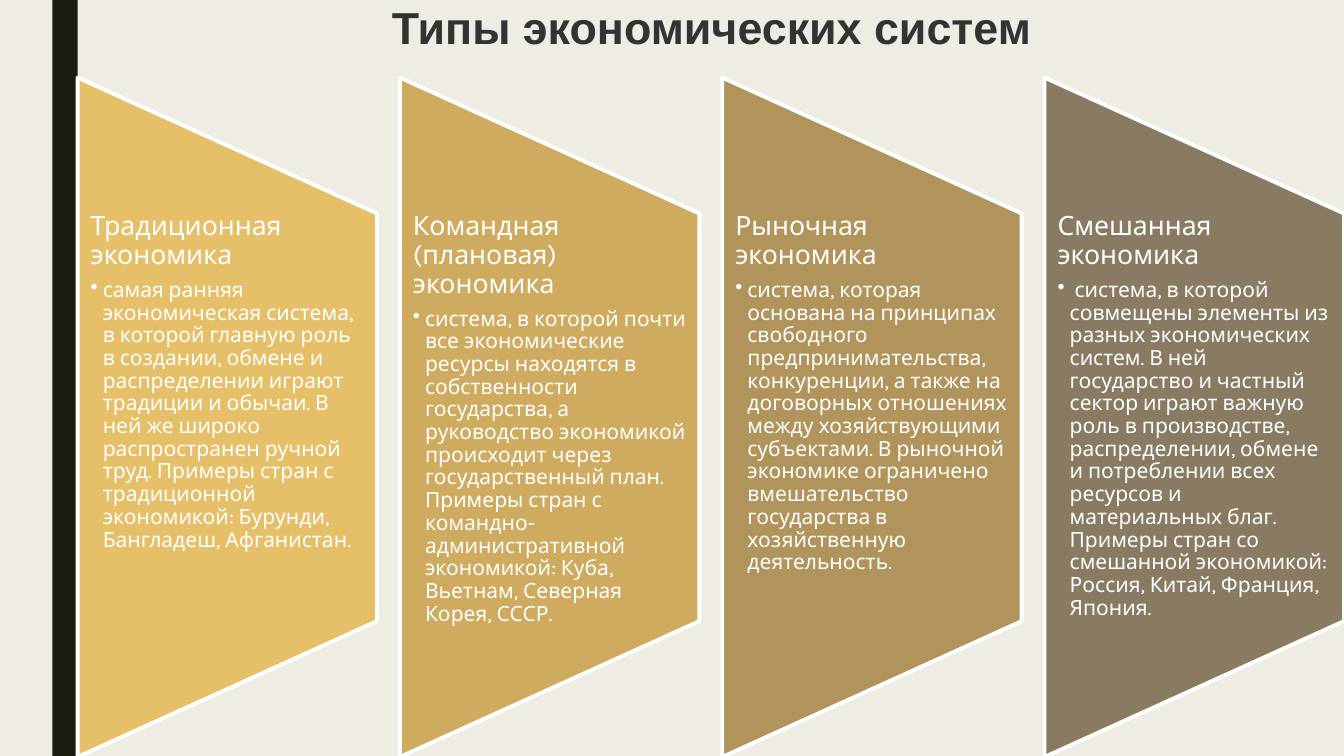
from dataclasses import dataclass

from lxml.etree import SubElement
from pptx import Presentation
from pptx.dml.color import RGBColor
from pptx.enum.shapes import MSO_SHAPE
from pptx.enum.text import MSO_ANCHOR, MSO_AUTO_SIZE, PP_ALIGN
from pptx.oxml.ns import qn
from pptx.util import Inches, Pt


@dataclass(frozen=True)
class Theme:
    background: str = "EFEDE3"
    stripe: str = "191B0E"
    title_color: str = "333333"
    light: str = "FFFFFF"
    title_font: str = "Arial"
    body_font: str = "Karla"
    title_size: float = 32
    heading_size: float = 19
    body_size: float = 15
    outline: float = 2.75


SLIDE_WIDTH, SLIDE_HEIGHT = 13.33, 7.5
GRID_LEFT, PANEL_TOP = 0.77, 0.77
PANEL_WIDTH, PANEL_HEIGHT = 2.97, 6.74
TEXT_TOP, TEXT_HEIGHT = 2.11, 4.04
BULLET_INDENT = 0.12

SYSTEMS = [
    ("E6C069", "Традиционная экономика",
     "самая ранняя экономическая система, в которой главную роль в создании, "
     "обмене и распределении играют традиции и обычаи. В ней же широко "
     "распространен ручной труд. Примеры стран с традиционной экономикой: "
     "Бурунди, Бангладеш, Афганистан."),
    ("CEAB5F", "Командная (плановая) экономика",
     "система, в которой почти все экономические ресурсы находятся в "
     "собственности государства, а руководство экономикой происходит через "
     "государственный план. Примеры стран с командно-административной "
     "экономикой: Куба, Вьетнам, Северная Корея, СССР."),
    ("B0945B", "Рыночная экономика",
     "система, которая основана на принципах свободного предпринимательства, "
     "конкуренции, а также на договорных отношениях между хозяйствующими "
     "субъектами. В рыночной экономике ограничено вмешательство государства "
     "в хозяйственную деятельность."),
    ("897B61", "Смешанная экономика",
     " система, в которой совмещены элементы из разных экономических систем. "
     "В ней государство и частный сектор играют важную роль в производстве, "
     "распределении, обмене и потреблении всех ресурсов и материальных благ. "
     "Примеры стран со смешанной экономикой: Россия, Китай, Франция, Япония."),
]


class SlideBuilder:
    def __init__(self, deck, theme, column_count):
        self.theme = theme
        self.slide = deck.slides.add_slide(deck.slide_layouts[5])
        self.pitch = (SLIDE_WIDTH - GRID_LEFT - PANEL_WIDTH) / (column_count - 1)
        fill = self.slide.background.fill
        fill.solid()
        fill.fore_color.rgb = RGBColor.from_string(theme.background)

    def column_left(self, column):
        return GRID_LEFT + column * self.pitch

    def style(self, paragraph, font_name, size, color, bold=False):
        font = paragraph.font
        font.name, font.size, font.bold = font_name, Pt(size), bold
        font.color.rgb = RGBColor.from_string(color)

    def shape(self, kind, left, top, width, height, color):
        shape = self.slide.shapes.add_shape(
            kind, Inches(left), Inches(top), Inches(width), Inches(height))
        shape.shadow.inherit = False
        shape.fill.solid()
        shape.fill.fore_color.rgb = RGBColor.from_string(color)
        shape.line.fill.background()
        return shape

    def stripe(self):
        self.shape(MSO_SHAPE.RECTANGLE, 0.52, 0, 0.25, SLIDE_HEIGHT, self.theme.stripe)

    def title(self, text):
        title = self.slide.shapes.title
        title.left, title.top = Inches(1.81), Inches(0)
        title.width, title.height = Inches(10.5), Inches(0.6)
        frame = title.text_frame
        frame.text = text
        frame.auto_size = MSO_AUTO_SIZE.NONE
        frame.vertical_anchor = MSO_ANCHOR.MIDDLE
        para = frame.paragraphs[0]
        para.alignment, para.line_spacing = PP_ALIGN.CENTER, 0.89
        self.style(para, self.theme.title_font, self.theme.title_size,
                   self.theme.title_color, bold=True)

    def panel(self, column, color):
        """Draw a trapezoid on its side; its unrotated frame shares the panel's centre."""
        center_x = self.column_left(column) + PANEL_WIDTH / 2
        center_y = PANEL_TOP + PANEL_HEIGHT / 2
        panel = self.shape(
            MSO_SHAPE.FLOWCHART_MANUAL_OPERATION, center_x - PANEL_HEIGHT / 2,
            center_y - PANEL_WIDTH / 2, PANEL_HEIGHT, PANEL_WIDTH, color)
        panel.rotation = 270
        panel.line.color.rgb = RGBColor.from_string(self.theme.light)
        panel.line.width = Pt(self.theme.outline)

    def description(self, column, heading, body):
        box = self.slide.shapes.add_textbox(
            Inches(self.column_left(column)), Inches(TEXT_TOP),
            Inches(PANEL_WIDTH), Inches(TEXT_HEIGHT))
        frame = box.text_frame
        frame.word_wrap = True
        frame.margin_left = frame.margin_right = Inches(0.13)
        frame.margin_top = frame.margin_bottom = 0
        heading_para, body_para = frame.paragraphs[0], frame.add_paragraph()
        heading_para.text, body_para.text = heading, body
        self.bullet(body_para)
        for para, size, space in ((heading_para, self.theme.heading_size, 6.5),
                                  (body_para, self.theme.body_size, 2)):
            para.line_spacing, para.space_after = 0.9, Pt(space)
            self.style(para, self.theme.body_font, size, self.theme.light)

    def bullet(self, paragraph):
        paragraph.level = 1
        properties = paragraph._p.get_or_add_pPr()
        properties.set("marL", str(Inches(BULLET_INDENT)))
        properties.set("indent", str(-Inches(BULLET_INDENT)))
        SubElement(properties, qn("a:buChar")).set("char", "•")


def main():
    deck = Presentation()
    deck.slide_width, deck.slide_height = Inches(SLIDE_WIDTH), Inches(SLIDE_HEIGHT)
    builder = SlideBuilder(deck, Theme(), len(SYSTEMS))
    builder.stripe()
    builder.title("Типы экономических систем")
    for column, (color, heading, body) in enumerate(SYSTEMS):
        builder.panel(column, color)
        builder.description(column, heading, body)
    deck.save("out.pptx")


if __name__ == "__main__":
    main()
